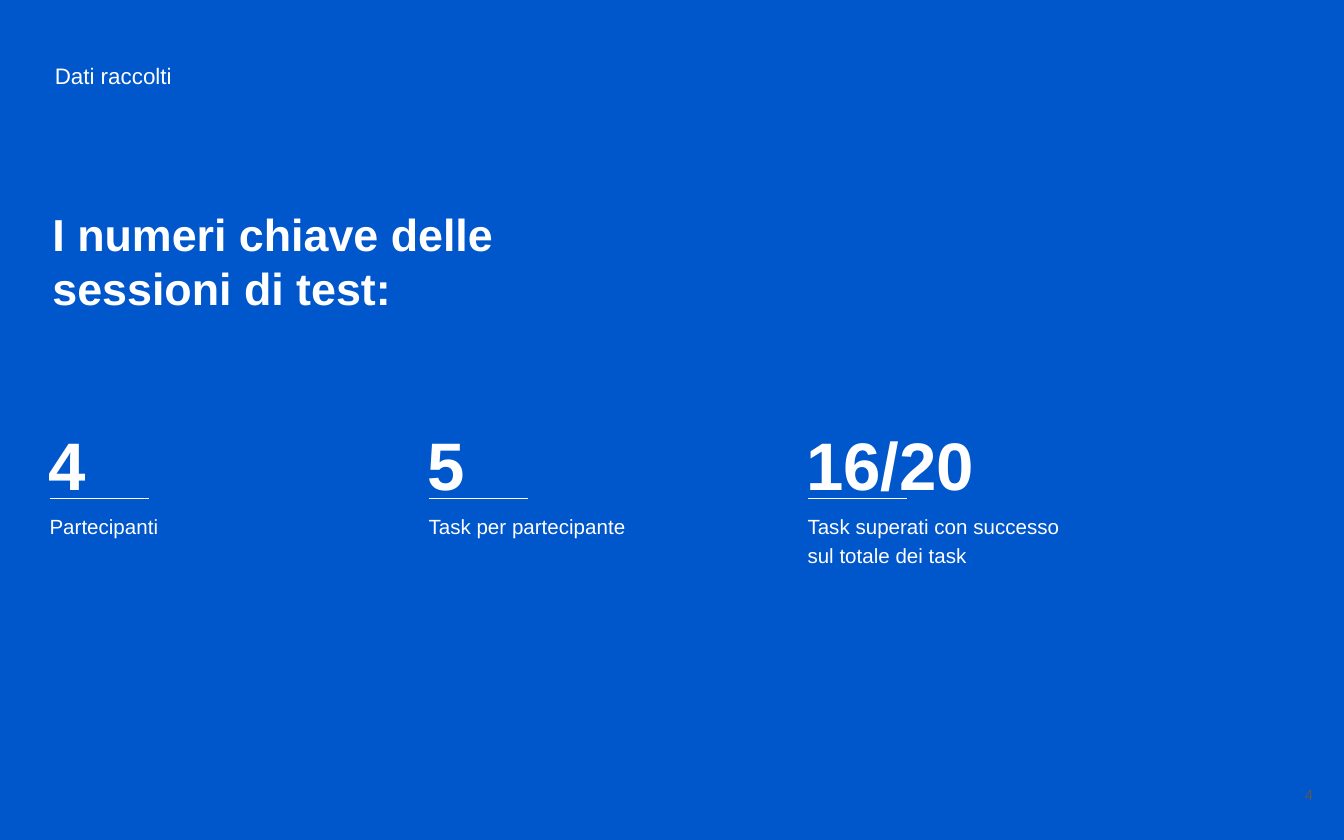
from lxml import etree
from pptx import Presentation
from pptx.dml.color import RGBColor
from pptx.enum.shapes import MSO_CONNECTOR
from pptx.enum.text import MSO_ANCHOR, MSO_AUTO_SIZE, PP_ALIGN
from pptx.oxml.ns import qn
from pptx.util import Inches, Pt

STRAIGHT = MSO_CONNECTOR.STRAIGHT
TOP, MIDDLE = MSO_ANCHOR.TOP, MSO_ANCHOR.MIDDLE
LEFT, RIGHT = PP_ALIGN.LEFT, PP_ALIGN.RIGHT
NO_AUTOFIT = MSO_AUTO_SIZE.NONE

BLUE = RGBColor(0x00, 0x56, 0xCB)
WHITE = RGBColor(0xFF, 0xFF, 0xFF)
GREY = RGBColor(0x59, 0x59, 0x59)

FONT = "Arial"
TITLE_ONLY = 5
INSET = 0.1
FIRST_COLUMN, COLUMN_STEP = 0.37, 2.82
RULE_TOP, RULE_WIDTH = 3.71, 0.74
LINE_SPACING = 1.15

# Value, lines of the label
FIGURES = [
    ("4", ["Partecipanti"]),
    ("5", ["Task per partecipante"]),
    ("16/20", ["Task superati con successo", "sul totale dei task"]),
]


def place(box, left, top, width, height):
    box.left, box.top = Inches(left), Inches(top)
    box.width, box.height = Inches(width), Inches(height)


def write(box, lines, size, color=WHITE, bold=False, align=LEFT,
          anchor=TOP, spacing=1.0):
    """Fill a text box or placeholder with one paragraph per line."""
    frame = box.text_frame
    frame.word_wrap = True
    frame.auto_size = NO_AUTOFIT
    frame.vertical_anchor = anchor
    frame.margin_left = frame.margin_right = Inches(INSET)
    frame.margin_top = frame.margin_bottom = Inches(INSET)
    frame.text = "\n".join(lines)
    for para in frame.paragraphs:
        para.alignment = align
        para.line_spacing = spacing
        para.space_before = Pt(0)
        para.font.name = FONT
        para.font.size = Pt(size)
        para.font.bold = bold
        para.font.color.rgb = color


def add_text(page, area, lines, size, **style):
    box = page.shapes.add_textbox(0, 0, 0, 0)
    place(box, *area)
    write(box, lines, size, **style)


def add_rule(page, left):
    rule = page.shapes.add_connector(
        STRAIGHT, Inches(left), Inches(RULE_TOP),
        Inches(left + RULE_WIDTH), Inches(RULE_TOP))
    rule.line.color.rgb = WHITE
    rule.line.width = Pt(0.75)
    etree.SubElement(rule.element.spPr, qn("a:effectLst"))


def add_figure(page, column, value, label):
    """Add a key number, the rule under it and its label."""
    left = FIRST_COLUMN + column * COLUMN_STEP
    add_text(page, (left - 0.11, 2.96, 1.91, 0.63), [value], 36,
             bold=True, spacing=LINE_SPACING)
    add_rule(page, left)
    add_text(page, (left - INSET, 3.7, 2.32, 0.75), label, 11,
             spacing=LINE_SPACING)


def main():
    deck = Presentation()
    deck.slide_width, deck.slide_height = Inches(10), Inches(6.25)
    page = deck.slides.add_slide(deck.slide_layouts[TITLE_ONLY])
    page.background.fill.solid()
    page.background.fill.fore_color.rgb = BLUE

    title = page.shapes.title
    place(title, 0.29, 1.44, 4.9, 0.96)
    write(title, ["I numeri chiave delle", "sessioni di test:"], 24, bold=True)

    add_text(page, (0.31, 0.39, 4.24, 0.34), ["Dati raccolti"], 12,
             anchor=MIDDLE)
    for column, (value, label) in enumerate(FIGURES):
        add_figure(page, column, value, label)
    add_text(page, (9.27, 5.67, 0.6, 0.48), ["4"], 8, color=GREY,
             align=RIGHT, anchor=MIDDLE)

    deck.save("out.pptx")


if __name__ == "__main__":
    main()
